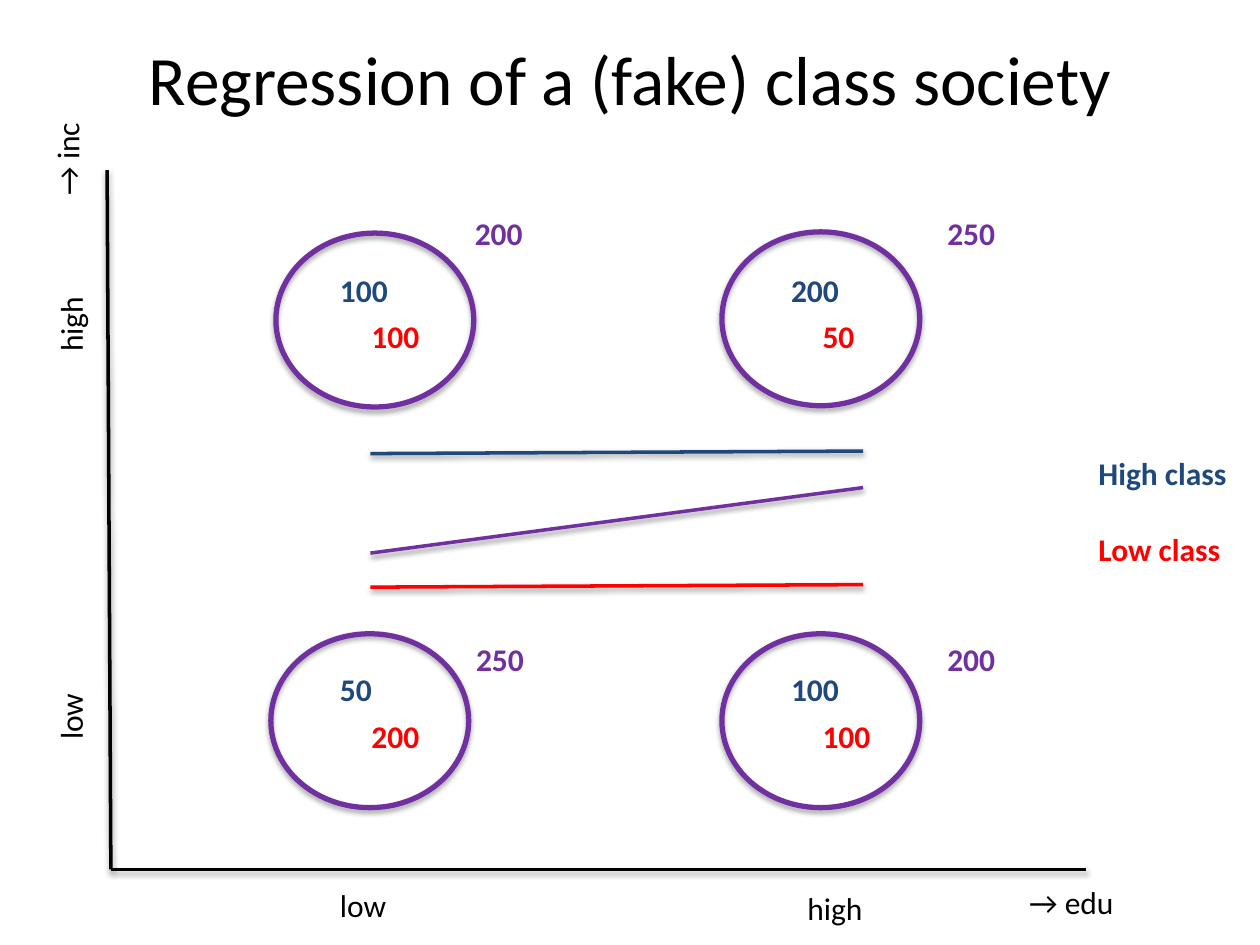
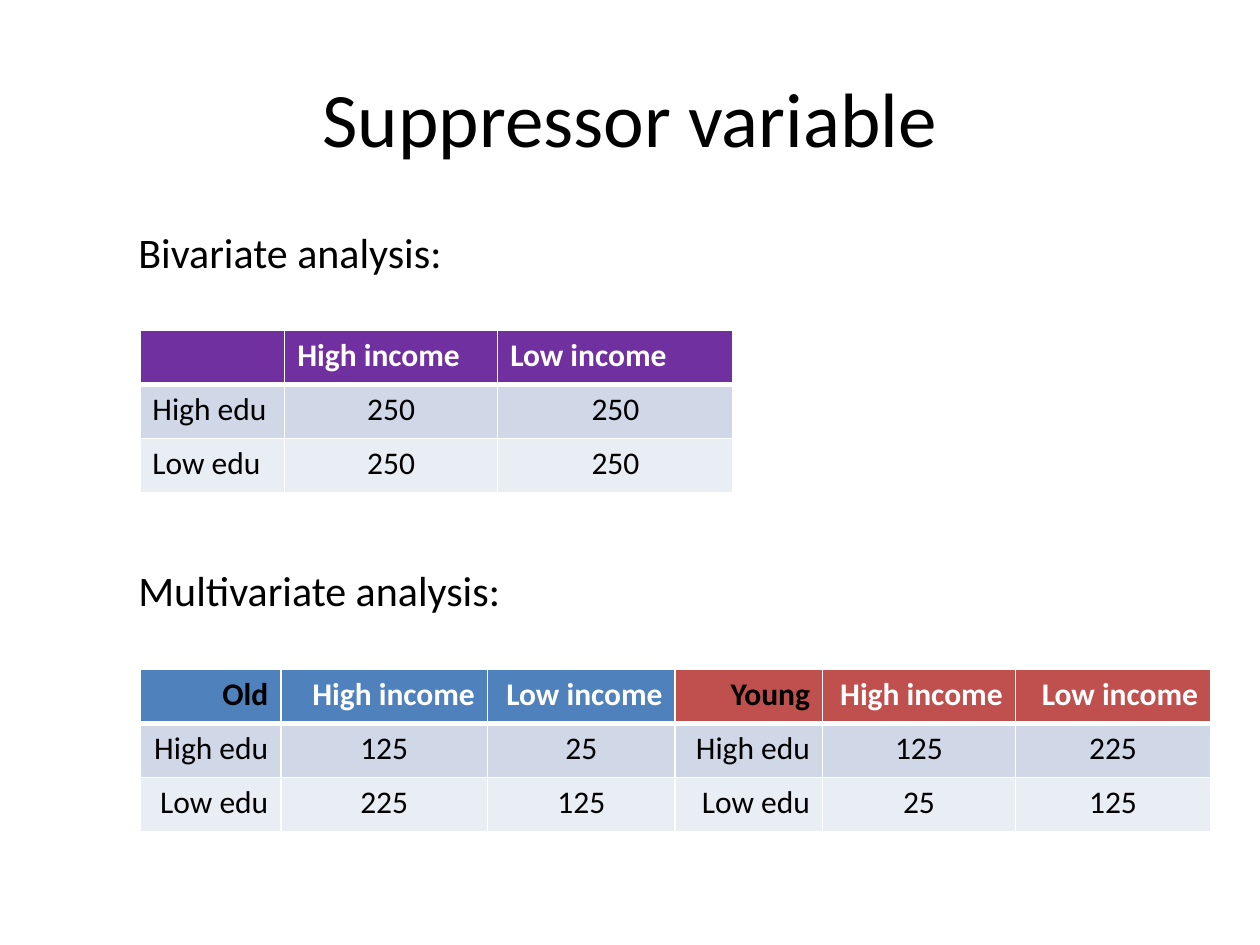
from dataclasses import dataclass

from lxml import etree
from pptx import Presentation
from pptx import util as u
from pptx.dml.color import RGBColor
from pptx.enum import shapes, text
from pptx.oxml import ns

SCALE = 9144
LEFT, MID, RIGHT = text.PP_ALIGN.LEFT, text.PP_ALIGN.CENTER, text.PP_ALIGN.RIGHT


@dataclass(frozen=True)
class Theme:
    font: str = "Calibri"
    ink: str = "000000"
    white: str = "FFFFFF"
    high: str = "1F497D"
    low: str = "FF0000"
    total: str = "7030A0"
    old: str = "4F81BD"
    young: str = "C0504D"
    bands: tuple = ("D0D8E8", "E9EDF4")
    title: float = 44
    small: float = 39.6
    head: float = 24
    body: float = 18


def px(*nums):
    return [u.Emu(n * SCALE) for n in nums]


def rgb(code):
    return RGBColor.from_string(code)


def node(root, tag, **attrs):
    return etree.SubElement(root, ns.qn(tag), {k: str(v) for k, v in attrs.items()})


class Deck:
    def __init__(self, theme):
        self.theme = theme
        self.prs = Presentation()
        self.prs.slide_width, self.prs.slide_height = px(1000, 750)

    def page(self, title, size, high):
        self.slide = self.prs.slides.add_slide(self.prs.slide_layouts[5])
        box = self.slide.shapes.title
        box.left, box.top, box.width, box.height = px(50, 30, 900, high)
        box.text_frame.text = title
        box.text_frame.auto_size = text.MSO_AUTO_SIZE.NONE
        self.style(box.text_frame.paragraphs[0], size, align=MID)

    def style(self, para, size, color=None, bold=False, align=LEFT):
        para.alignment = align
        font = para.font
        font.name, font.size, font.bold = self.theme.font, u.Pt(size), bold
        font.color.rgb = rgb(color or self.theme.ink)

    def label(self, x, y, w, *lines, h=40, size=None, bold=False, turn=0, gap=0):
        box = self.slide.shapes.add_textbox(*px(x, y, w, h))
        box.rotation = turn
        frame = box.text_frame
        frame.word_wrap = True
        frame.auto_size = text.MSO_AUTO_SIZE.SHAPE_TO_FIT_TEXT
        for i, (words, color) in enumerate(lines):
            para = frame.add_paragraph() if i else frame.paragraphs[0]
            para.text = words
            para.space_before = u.Pt(gap if i else 0)
            self.style(para, size or self.theme.body, color, bold)

    def shade(self, shape, alpha, dist):
        root = node(shape._element.spPr, "a:effectLst")
        cast = node(root, "a:outerShdw", blurRad=40000, dist=dist,
                    dir=5400000, rotWithShape=0)
        color = node(cast, "a:srgbClr", val=self.theme.ink)
        node(color, "a:alpha", val=alpha * 1000)

    def stroke(self, shape, color, width):
        shape.line.color.rgb = rgb(color)
        shape.line.width = u.Pt(width)

    def line(self, color, *ends):
        line = self.slide.shapes.add_connector(
            shapes.MSO_CONNECTOR.STRAIGHT, *px(*ends))
        self.stroke(line, color, 2)
        self.shade(line, 38, 20000)

    def ring(self, x, y):
        ring = self.slide.shapes.add_shape(
            shapes.MSO_SHAPE.OVAL, *px(x, y, 157, 138))
        ring.fill.background()
        self.stroke(ring, self.theme.total, 3)
        self.shade(ring, 35, 23000)

    def edges(self, cell, top, base):
        props = cell._tc.get_or_add_tcPr()
        for side, width in zip("LRTB", (1, 1, top, base)):
            edge = node(props, f"a:ln{side}", w=u.Pt(width))
            node(node(edge, "a:solidFill"), "a:srgbClr", val=self.theme.white)

    def table(self, x, y, cols, rows, fills, align, inks):
        look = self.theme
        grid = self.slide.shapes.add_table(
            len(rows), len(cols), *px(x, y, sum(cols), 43 * len(rows))).table
        for col, wide in zip(grid.columns, cols):
            col.width = px(wide)[0]
        for r, row in enumerate(rows):
            grid.rows[r].height = px(43)[0]
            for c, words in enumerate(row):
                cell = grid.cell(r, c)
                self.edges(cell, 3 if r == 1 else 1, 1 if r else 3)
                cell.fill.solid()
                cell.fill.fore_color.rgb = rgb(look.bands[r - 1] if r else fills[c])
                cell.text = words
                self.style(cell.text_frame.paragraphs[0], look.body,
                           look.ink if r else inks[c], not r,
                           MID if words.isdigit() else align)


def society(deck):
    look = deck.theme
    deck.page("Regression of a (fake) class society", look.small, 64)
    for ends in ((85, 135, 88, 690), (88, 690, 862, 690)):
        deck.line(look.ink, *ends)
    groups = (
        (260, 210, 219, 185, 367, 165, "100", "100", "200"),
        (260, 527, 215, 503, 368, 503, "50", "200", "250"),
        (618, 210, 573, 184, 742, 165, "200", "50", "250"),
        (618, 527, 573, 503, 742, 503, "100", "100", "200"),
    )
    for x, y, left, top, side, peak, high, low, total in groups:
        deck.label(x, y, 66, (high, look.high), bold=True)
        deck.label(x + 25, y + 37, 66, (low, look.low), bold=True)
        deck.ring(left, top)
        deck.label(side, peak, 66, (total, look.total), bold=True)
    for color, start, end in ((look.low, 466, 464), (look.high, 360, 358),
                              (look.total, 439, 387)):
        deck.line(color, 294, start, 685, end)
    deck.label(862, 355, 126, ("High class", look.high), ("Low class", look.low),
               h=101, bold=True, gap=22)
    for words, x, y, w, turn in (
            ("→ edu", 807, 696, 97, 0), ("→ inc", -1, 91, 108, 270),
            ("low", 260, 698, 74, 0), ("high", 631, 701, 74, 0),
            ("low", 19, 540, 74, 270), ("high", 19, 232, 74, 270)):
        deck.label(x, y, w, (words, look.ink), turn=turn)


def suppress(deck):
    look = deck.theme
    deck.page("Suppressor variable", look.title, 125)
    for words, y in (("Bivariate analysis:", 175), ("Multivariate analysis:", 443)):
        deck.label(100, y, 334, (words, look.ink), h=50, size=look.head)
    heads = ["High income", "Low income"]
    deck.table(111, 262, (115, 169, 187),
               (["", *heads], ["High edu", "250", "250"], ["Low edu", "250", "250"]),
               [look.total] * 3, LEFT, [look.white] * 3)
    deck.table(111, 531, (112, 164, 149, 117, 153, 155),
               (["Old", *heads, "Young", *heads],
                ["High edu", "125", "25", "High edu", "125", "225"],
                ["Low edu", "225", "125", "Low edu", "25", "125"]),
               [look.old] * 3 + [look.young] * 3, RIGHT,
               [look.ink, look.white, look.white] * 2)


def main():
    deck = Deck(Theme())
    society(deck)
    suppress(deck)
    deck.prs.save("out.pptx")


if __name__ == "__main__":
    main()
